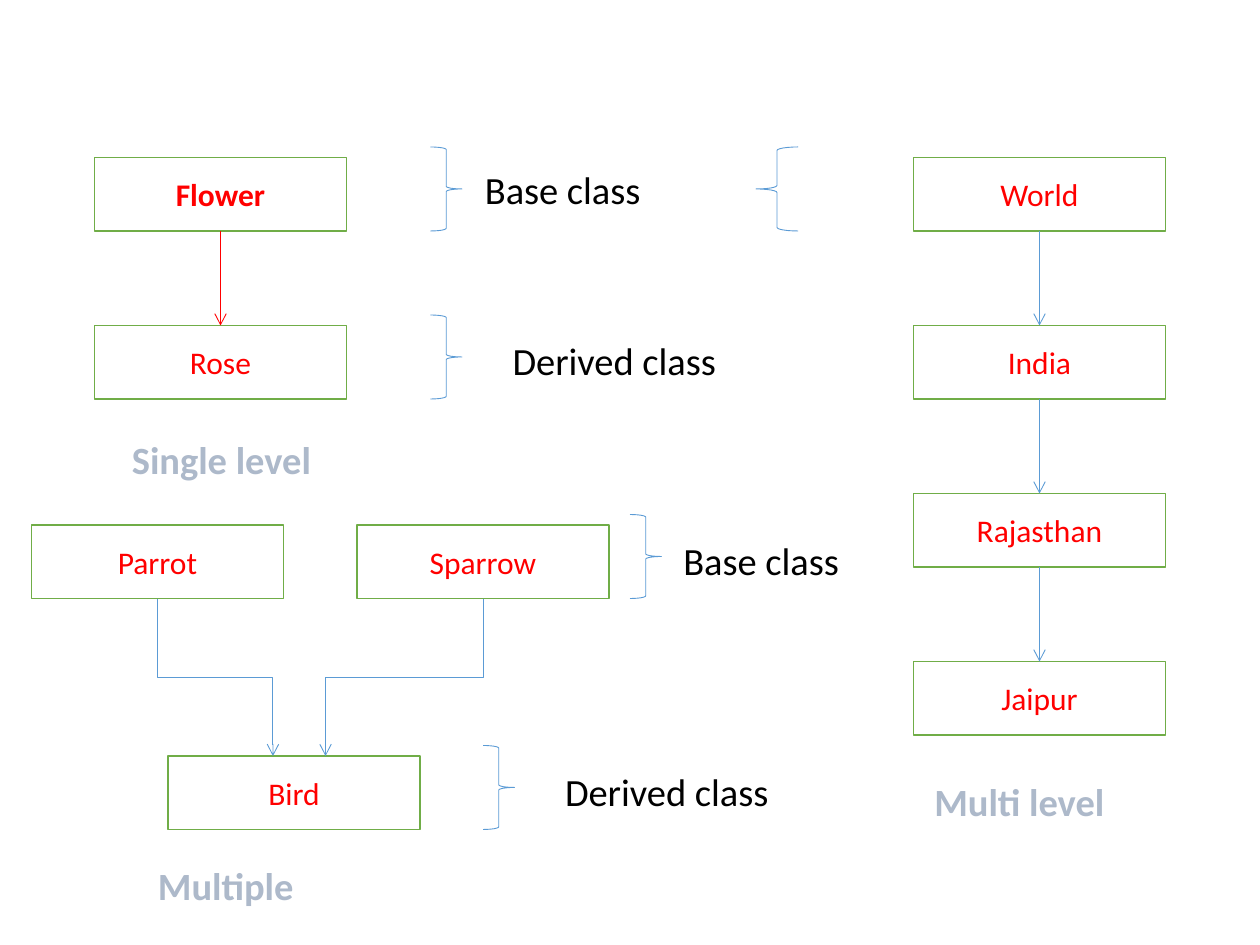
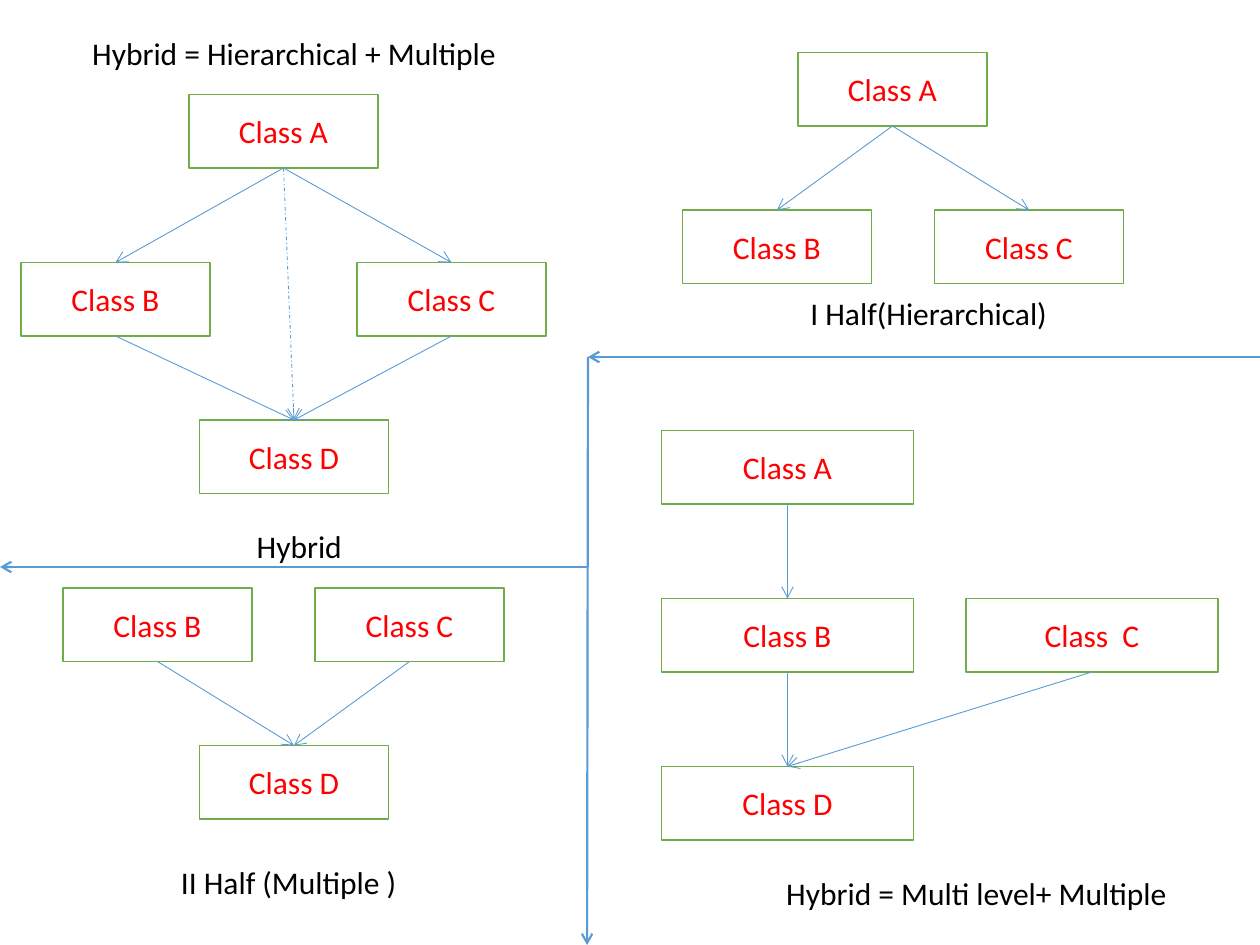
from lxml.etree import SubElement
from pptx import Presentation
from pptx.dml.color import RGBColor
from pptx.enum.dml import MSO_LINE
from pptx.enum.shapes import MSO_CONNECTOR as CONN, MSO_SHAPE as SHAPE
from pptx.enum.text import MSO_ANCHOR as ANCHOR, PP_ALIGN as ALIGN
from pptx.oxml.ns import qn
from pptx.util import Pt

WHITE = RGBColor(0xFF, 0xFF, 0xFF)
BLACK = RGBColor(0x00, 0x00, 0x00)
RED = RGBColor(0xFF, 0x00, 0x00)
GREEN = RGBColor(0x70, 0xAD, 0x47)
BLUE = RGBColor(0x5B, 0x9B, 0xD5)
GREY = RGBColor(0xAD, 0xB9, 0xCA)

FONT = "Calibri"
BOX_H = 42
LABEL_W, LABEL_H = 162, 32.4
BRACE_H = 48
BOTTOM, TOP = 2, 0  # connection sites of a rectangle


class Diagram:
    """Holds the style and the slide being drawn."""

    def __init__(self, prs):
        self.prs = prs
        self.slide = None

    def new_slide(self):
        self.slide = self.prs.slides.add_slide(self.prs.slide_layouts[6])

    def add_text(self, sp, text, size, color, bold=False, align=ALIGN.CENTER):
        tf = sp.text_frame
        tf.word_wrap = True
        tf.vertical_anchor = ANCHOR.MIDDLE
        p = tf.paragraphs[0]
        p.alignment = align
        r = p.add_run()
        r.text = text
        r.font.name = FONT
        r.font.size = Pt(size)
        r.font.bold = bold
        r.font.color.rgb = color
        return p

    def label(self, text, x, y, w=LABEL_W, h=LABEL_H, size=22, color=BLACK,
              bold=False, align=ALIGN.CENTER):
        sp = self.slide.shapes.add_textbox(Pt(x), Pt(y), Pt(w), Pt(h))
        return self.add_text(sp, text, size, color, bold, align)

    def title(self, text, x, y, w, h, size):
        p = self.label(text, x, y, w, h, size, align=ALIGN.LEFT)
        p.line_spacing = 0.9

    def caption(self, text, x, y):
        self.label(text, x, y, color=GREY, bold=True)

    def box(self, text, x, y, w=144, bold=False):
        sp = self.slide.shapes.add_shape(SHAPE.RECTANGLE, Pt(x), Pt(y), Pt(w), Pt(BOX_H))
        sp.shadow.inherit = False
        sp.fill.solid()
        sp.fill.fore_color.rgb = WHITE
        sp.line.color.rgb = GREEN
        sp.line.width = Pt(1)
        self.add_text(sp, text, 18, RED, bold)
        return sp

    def brace(self, x, y, kind=SHAPE.RIGHT_BRACE, w=18):
        sp = self.slide.shapes.add_shape(kind, Pt(x), Pt(y), Pt(w), Pt(BRACE_H))
        sp.shadow.inherit = False
        sp.fill.background()
        sp.line.color.rgb = BLUE
        sp.line.width = Pt(0.5)

    def line(self, x1, y1, x2, y2, color=BLUE, width=0.5, dash=None, kind=CONN.STRAIGHT):
        cn = self.slide.shapes.add_connector(kind, Pt(x1), Pt(y1), Pt(x2), Pt(y2))
        cn.line.color.rgb = color
        cn.line.width = Pt(width)
        if dash:
            cn.line.dash_style = dash
        sp_pr = cn._element.spPr
        SubElement(sp_pr.find(qn("a:ln")), qn("a:tailEnd"), type="arrow")
        SubElement(sp_pr, qn("a:effectLst"))
        return cn

    def arrow(self, upper, lower, **style):
        """Join the bottom of one box to the top of another."""
        cn = self.line(0, 0, 0, 0, **style)
        cn.begin_connect(upper, BOTTOM)
        cn.end_connect(lower, TOP)

    def elbow(self, x1, y1, x2, y2):
        """Go down, across and down: a turned elbow about the midpoint."""
        mid_x, mid_y = (x1 + x2) / 2, (y1 + y2) / 2
        half_w, half_h = (y2 - y1) / 2, abs(x2 - x1) / 2
        side = 1 if x2 > x1 else -1
        cn = self.line(mid_x + side * half_w, mid_y - half_h,
                       mid_x - side * half_w, mid_y + half_h, kind=CONN.ELBOW)
        angle = 270 if side > 0 else 90
        cn._element.spPr.find(qn("a:xfrm")).set("rot", str(angle * 60000))


def draw_inheritance_types(d):
    d.new_slide()
    d.title("Base class", 270, 93.6, LABEL_W, LABEL_H, 22)

    # Single level
    flower = d.box("Flower", 54, 90, bold=True)
    rose = d.box("Rose", 54, 186)
    d.arrow(flower, rose, color=RED)
    d.brace(246, 84)
    d.brace(246, 180)
    d.label("Derived class", 270, 189.6)
    d.caption("Single level ", 48, 246)

    # Multi level
    places = [d.box(name, 522, 90 + 96 * i)
              for i, name in enumerate(["World", "India", "Rajasthan", "Jaipur"])]
    for upper, lower in zip(places, places[1:]):
        d.arrow(upper, lower)
    d.brace(432, 84, SHAPE.LEFT_BRACE, 24)
    d.caption("Multi level ", 504, 441.6)

    # Multiple
    d.box("Bird", 96, 432)
    d.box("Parrot", 18, 300)
    d.box("Sparrow", 204, 300)
    d.elbow(276, 342, 186, 432)
    d.elbow(90, 342, 156, 432)
    d.brace(360, 294)
    d.label("Base class", 354, 303.6)
    d.brace(276, 426)
    d.label("Derived class", 300, 435.6)
    d.caption("Multiple", 48, 489.6)


def draw_hybrid(d):
    d.new_slide()
    narrow = 108

    # Dividers
    for ends in [(720, 204, 336, 204), (336, 204, 335.5, 540), (336, 324, 0, 324)]:
        d.line(*ends, width=1.25)

    # Hierarchical and multiple combined
    d.label("Hybrid = Hierarchical + Multiple", 18, 12, 300, 36, 18)
    a = d.box("Class A", 108, 54, narrow)
    b = d.box("Class B", 12, 150, narrow)
    c = d.box("Class C", 204, 150, narrow)
    bottom = d.box("Class D", 114, 240, narrow)
    for middle in (b, c):
        d.arrow(a, middle)
        d.arrow(middle, bottom)
    d.arrow(a, bottom, dash=MSO_LINE.DASH_DOT)
    d.label("Hybrid", 132, 300, 78, 24, 18)

    # First half: hierarchical
    a = d.box("Class A", 456, 30, narrow)
    for name, x in [("Class B", 390), ("Class C", 534)]:
        d.arrow(a, d.box(name, x, 120, narrow))
    d.title("I Half(Hierarchical)", 456, 168, 185, 24, 18)

    # Second half: multiple
    bottom = d.box("Class D", 114, 426, narrow)
    for name, x in [("Class B", 36), ("Class C", 180)]:
        d.arrow(d.box(name, x, 336, narrow), bottom)
    d.label("II Half (Multiple )", 84, 492, LABEL_W, 24, 18)

    # Multi level and multiple combined
    a, b, bottom = [d.box(f"Class {letter}", 378, 246 + 96 * i)
                    for i, letter in enumerate("ABD")]
    c = d.box("Class  C", 552, 342)
    for upper, lower in [(a, b), (b, bottom), (c, bottom)]:
        d.arrow(upper, lower)
    d.label("Hybrid = Multi level+ Multiple", 408, 492, 300, 36, 18)


def main():
    prs = Presentation()
    prs.slide_width, prs.slide_height = Pt(720), Pt(540)
    d = Diagram(prs)
    draw_inheritance_types(d)
    draw_hybrid(d)
    prs.save("out.pptx")


if __name__ == "__main__":
    main()
